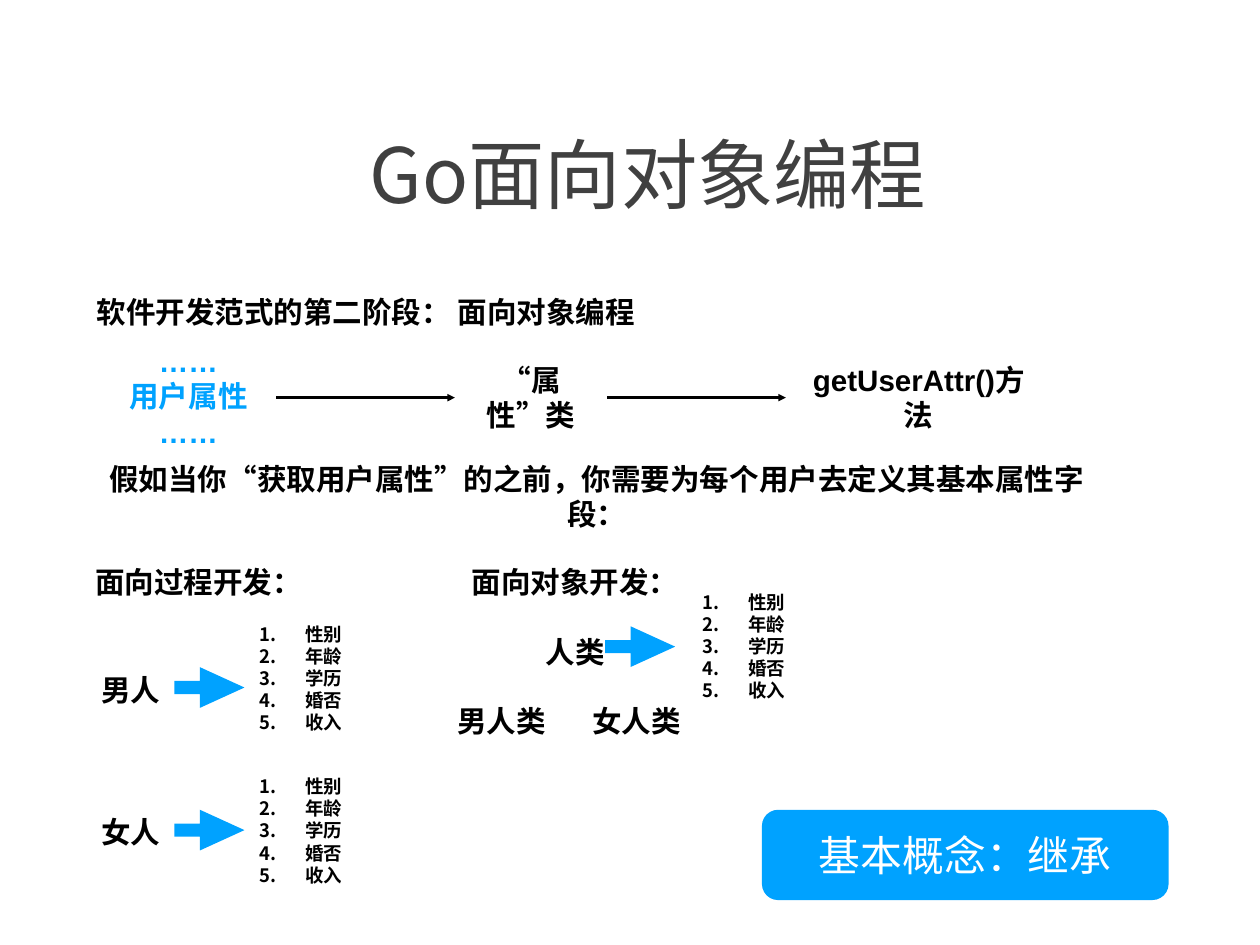
from pptx import Presentation
from pptx.dml.color import RGBColor
from pptx.enum.shapes import MSO_CONNECTOR as Line, MSO_SHAPE as Kind
from pptx.enum.text import MSO_ANCHOR as Anchor, MSO_AUTO_SIZE as Auto, PP_ALIGN as Align
from pptx.oxml import parse_xml
from pptx.oxml.ns import nsdecls
from pptx.util import Pt

BLUE, BLACK, WHITE, GREY = "00A2FF", "000000", "FFFFFF", "404040"
CJK = "Noto Sans CJK SC"
HIGH = 41
FIELDS = ["性别", "年龄", "学历", "婚否", "收入"]


def tint(part, code):
    """Give a font colour or a solid fill the hex colour."""
    if hasattr(part, "solid"):
        part.solid()
        part = part.fore_color
    part.rgb = RGBColor.from_string(code)


def node(tag, inner="", **attrs):
    pairs = " ".join(f'{key}="{val}"' for key, val in attrs.items())
    return parse_xml(f'<a:{tag} {nsdecls("a")} {pairs}>{inner}</a:{tag}>')


def place(shape, box):
    shape.left, shape.top, shape.width, shape.height = map(Pt, box)


def write(shape, lines, size=24, color=BLACK, bold=True, font="Arial", align=Align.CENTER,
          anchor=Anchor.MIDDLE, inset=4.3, wrap=True, fit=Auto.NONE, space=None, number=False):
    """Fill a shape with one paragraph for each line."""
    frame = shape.text_frame
    frame.word_wrap, frame.auto_size, frame.vertical_anchor = wrap, fit, anchor
    frame.margin_left = frame.margin_right = Pt(inset)
    frame.margin_top = frame.margin_bottom = Pt(inset)
    for i, line in enumerate(lines):
        para = frame.paragraphs[0] if i == 0 else frame.add_paragraph()
        para.alignment = align
        if space:
            para.line_spacing = space
        if number:
            props = para._p.get_or_add_pPr()
            props.set("marL", str(Pt(37.4)))
            props.set("indent", str(-Pt(37.4)))
            props.append(node("buFont", typeface=CJK))
            props.append(node("buAutoNum", type="arabicPeriod"))
        run = para.add_run()
        run.text = line
        run.font.size, run.font.bold, run.font.name = Pt(size), bold, font
        tint(run.font.color, color)
        run._r.get_or_add_rPr().append(node("ea", typeface=CJK))


def label(slide, text, left, top, width):
    shape = slide.shapes.add_textbox(0, 0, 0, 0)
    place(shape, (left, top, width, HIGH))
    write(shape, [text], wrap=False, fit=Auto.SHAPE_TO_FIT_TEXT)


def block(slide, kind, box, *adjust):
    shape = slide.shapes.add_shape(kind, 0, 0, 0, 0)
    place(shape, box)
    for i, val in enumerate(adjust):
        shape.adjustments[i] = val
    shape.shadow.inherit = False
    tint(shape.fill, BLUE)
    shape.line.fill.background()
    return shape


def title(slide, box):
    shape = slide.shapes.title
    place(shape, box)
    write(shape, ["Go面向对象编程"], size=62, color=GREY, bold=False, font=CJK,
          anchor=Anchor.BOTTOM, inset=3.6, space=1.5)
    props = shape.text_frame.paragraphs[0].runs[0]._r.rPr
    glow = f'<a:srgbClr val="{BLUE}"><a:alpha val="50000"/></a:srgbClr>'
    shade = (f'<a:outerShdw blurRad="{Pt(4)}" dist="{Pt(3)}" dir="2700000" '
             f'algn="tl" rotWithShape="0">{glow}</a:outerShdw>')
    props.find("{*}solidFill").addnext(node("effectLst", shade))


def link(slide, left, top, width):
    line = slide.shapes.add_connector(
        Line.STRAIGHT, Pt(left), Pt(top), Pt(left + width), Pt(top))
    tint(line.line.fill, BLACK)
    line.line.width = Pt(2)
    line.line._get_or_add_ln().append(node("tailEnd", type="triangle"))
    line._element.spPr.append(node("effectLst"))


def flow(slide, left, top):
    """Draw the chain from user attributes to class to method."""
    user = slide.shapes.add_textbox(0, 0, 0, 0)
    place(user, (left, top - 31, 200, 101))
    write(user, ["……", "用户属性", "……"], color=BLUE)
    link(slide, left + 171.5, top + 20.8, 145)
    label(slide, "“属性”类", left + 327, top, 103)
    link(slide, left + 440.5, top + 20.8, 145)
    label(slide, "getUserAttr()方法", left + 591.2, top, 204.5)


def group(slide, name, left, top, arrow, fields):
    """Place a name, with its arrow and field list offset from it."""
    label(slide, name, left, top, 56.9)
    block(slide, Kind.RIGHT_ARROW, (left + arrow[0], top + arrow[1], 56.9, 33.1), 0.32, 1.095)
    shape = slide.shapes.add_textbox(0, 0, 0, 0)
    place(shape, (left + fields[0], top + fields[1], 95, 113))
    write(shape, FIELDS, size=15, align=Align.LEFT, number=True)


def steps(slide, left, top):
    """Show the procedural side: each kind of person repeats the fields."""
    label(slide, "面向过程开发：", left, top, 177.1)
    group(slide, "男人", left + 5.1, top + 87.8, (64, 2.2), (128.8, -45.4))
    group(slide, "女人", left + 5.1, top + 203.4, (64, 2.5), (128.8, -37.1))


def classes(slide, left, top):
    """Show the object side: one parent class holds the fields."""
    label(slide, "面向对象开发：", left, top, 177.1)
    group(slide, "人类", left + 60.5, top + 56.8, (52.6, 0), (127.4, -40.3))
    for i, name in enumerate(["男人类", "女人类"]):
        label(slide, name, left - 11.7 + i * 109.7, top + 113, 81)


def badge(slide, box):
    shape = block(slide, Kind.ROUNDED_RECTANGLE, box, 0.179)
    write(shape, ["基本概念：继承"], size=34, color=WHITE, bold=False)


def main():
    deck = Presentation()
    deck.slide_width, deck.slide_height = Pt(1024), Pt(768)
    slide = deck.slides.add_slide(deck.slide_layouts[5])
    title(slide, (41.8, 20.9, 969.8, 160.6))
    label(slide, "软件开发范式的第二阶段： 面向对象编程", 73.4, 232.6, 447.8)
    flow(slide, 53.2, 302.4)
    label(slide, "假如当你“获取用户属性”的之前，你需要为每个用户去定义其基本属性字段：",
          73.4, 383, 823)
    steps(slide, 72.7, 452.2)
    classes(slide, 378.7, 452.2)
    badge(slide, (619.2, 658.1, 330.5, 73.4))
    deck.save("out.pptx")


if __name__ == "__main__":
    main()
